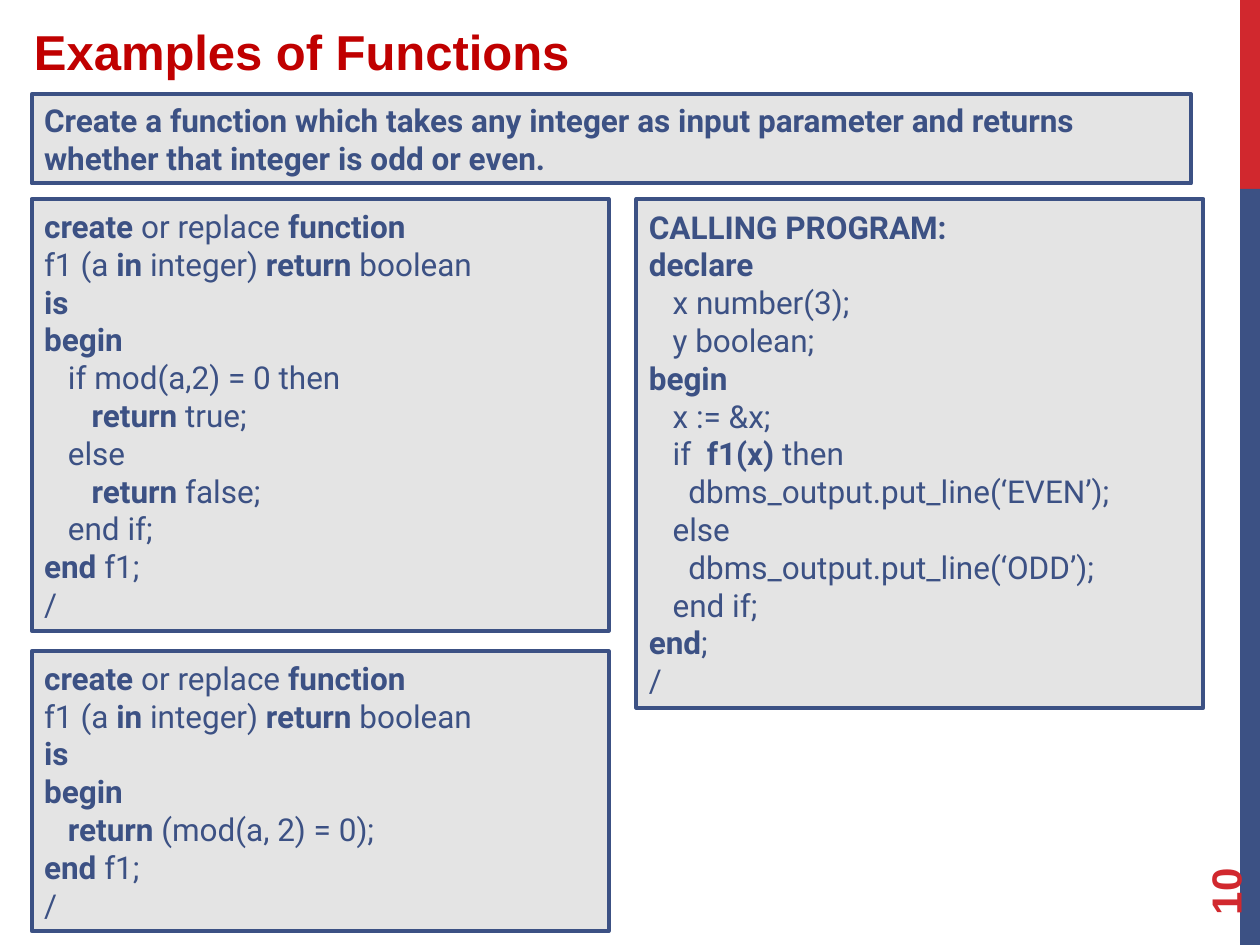
from dataclasses import dataclass

from pptx import Presentation
from pptx.dml.color import RGBColor
from pptx.enum.shapes import MSO_SHAPE
from pptx.enum.text import MSO_ANCHOR, MSO_AUTO_SIZE, PP_ALIGN
from pptx.util import Cm, Pt

RECTANGLE = MSO_SHAPE.RECTANGLE
LEFT = PP_ALIGN.LEFT
TOP, MIDDLE = MSO_ANCHOR.TOP, MSO_ANCHOR.MIDDLE
NO_FIT, GROW = MSO_AUTO_SIZE.NONE, MSO_AUTO_SIZE.SHAPE_TO_FIT_TEXT


@dataclass(frozen=True)
class Theme:
    red: RGBColor = RGBColor(0xD1, 0x28, 0x2E)
    blue: RGBColor = RGBColor(0x3C, 0x51, 0x84)
    title_red: RGBColor = RGBColor(0xC0, 0x00, 0x00)
    panel: RGBColor = RGBColor(0xE4, 0xE4, 0xE4)
    heading_font: str = "Arial"
    body_font: str = "Roboto"
    title_size: int = 28
    number_size: int = 24
    body_size: int = 18
    border: float = 2.25
    indent_step: float = 0.16  # cm for one step of code indent


def apply(target, formats):
    for name, value in formats.items():
        setattr(target, name, value)


class SlideBuilder:
    def __init__(self, deck, theme):
        self.theme = theme
        self.page = deck.slides.add_slide(deck.slide_layouts[5])

    def add_text(self, para, text, font, size, color, bold=False):
        """Add text to a paragraph; ** switches bold on and off."""
        for index, part in enumerate(text.split("**")):
            if part:
                span = para.add_run()
                span.text = part
                apply(span.font, {"name": font, "size": Pt(size),
                                  "bold": bold or index % 2 == 1})
                span.font.color.rgb = color

    def title(self, text, left, top, width, height):
        box = self.page.shapes.title
        apply(box, {"left": Cm(left), "top": Cm(top),
                    "width": Cm(width), "height": Cm(height)})
        frame = box.text_frame
        apply(frame, {"auto_size": NO_FIT, "vertical_anchor": TOP,
                      "margin_top": Cm(0.23), "word_wrap": True})
        para = frame.paragraphs[0]
        para.alignment = LEFT
        self.add_text(para, text, self.theme.heading_font,
                      self.theme.title_size, self.theme.title_red, True)

    def band(self, color, left, top, width, height):
        box = self.page.shapes.add_shape(
            RECTANGLE, Cm(left), Cm(top), Cm(width), Cm(height))
        box.shadow.inherit = False
        box.fill.solid()
        box.fill.fore_color.rgb = color
        box.line.fill.background()
        return box

    def panel(self, lines, left, top, width, height):
        """Bordered box; each line is (indent steps, text)."""
        theme = self.theme
        box = self.band(theme.panel, left, top, width, height)
        box.line.color.rgb = theme.blue
        box.line.width = Pt(theme.border)
        frame = box.text_frame
        apply(frame, {"word_wrap": True, "auto_size": GROW,
                      "vertical_anchor": MIDDLE})
        for index, (steps, text) in enumerate(lines):
            para = frame.add_paragraph() if index else frame.paragraphs[0]
            para.alignment = LEFT
            if steps:
                properties = para._p.get_or_add_pPr()
                properties.set("marL", str(Cm(steps * theme.indent_step)))
                properties.set("indent", "0")
            self.add_text(para, text, theme.body_font, theme.body_size,
                          theme.blue)

    def page_number(self, text, left, top, width, height):
        box = self.page.shapes.add_textbox(
            Cm(left), Cm(top), Cm(width), Cm(height))
        box.rotation = 270
        frame = box.text_frame
        apply(frame, {"word_wrap": True, "vertical_anchor": MIDDLE})
        self.add_text(frame.paragraphs[0], text, self.theme.heading_font,
                      self.theme.number_size, self.theme.red, True)


TASK = [(0, "**Create a function which takes any integer as input parameter "
            "and returns whether that integer is odd or even.**")]

FUNCTION_HEAD = [
    (0, "**create** or replace **function**"),
    (0, "f1 (a **in** integer) **return** boolean"),
    (0, "**is**"),
    (0, "**begin**"),
]
FUNCTION_END = [(0, "**end** f1;"), (0, "/")]

BRANCHING_BODY = [
    (3, "if mod(a,2) = 0 then"),
    (6, "**return** true;"),
    (3, "else"),
    (6, "**return** false;"),
    (3, "end if;"),
]
SHORT_BODY = [(3, "**return** (mod(a, 2) = 0);")]

CALLING_PROGRAM = [
    (0, "**CALLING PROGRAM:**"),
    (0, "**declare**"),
    (3, "x number(3);"),
    (3, "y boolean;"),
    (0, "**begin**"),
    (3, "x := &x;"),
    (3, "if  **f1(x)** then"),
    (5, "dbms_output.put_line(‘EVEN’);"),
    (3, "else"),
    (5, "dbms_output.put_line(‘ODD’);"),
    (3, "end if;"),
    (0, "**end**;"),
    (0, "/"),
]


def main():
    deck = Presentation()
    deck.slide_width, deck.slide_height = Cm(25.4), Cm(19.05)
    theme = Theme()
    slide = SlideBuilder(deck, theme)

    # Side bands and page number
    slide.band(theme.red, 25, 0, 0.4, 3.81)
    slide.band(theme.blue, 25, 3.81, 0.4, 15.24)
    slide.page_number("10", 22.86, 16.36, 3.66, 1.02)

    # Title and task
    slide.title("Examples of Functions", 0.43, 0.2, 17.35, 1.7)
    left, column, top = 0.64, 11.63, 4.01
    slide.panel(TASK, left, 1.9, 23.37, 1.8)

    # Two versions of the function, and the program that calls it
    slide.panel(FUNCTION_HEAD + BRANCHING_BODY + FUNCTION_END,
                left, top, column, 8.71)
    slide.panel(FUNCTION_HEAD + SHORT_BODY + FUNCTION_END,
                left, 13.13, column, 5.64)
    slide.panel(CALLING_PROGRAM, 12.83, top, 11.43, 10.26)

    deck.save("out.pptx")


if __name__ == "__main__":
    main()
